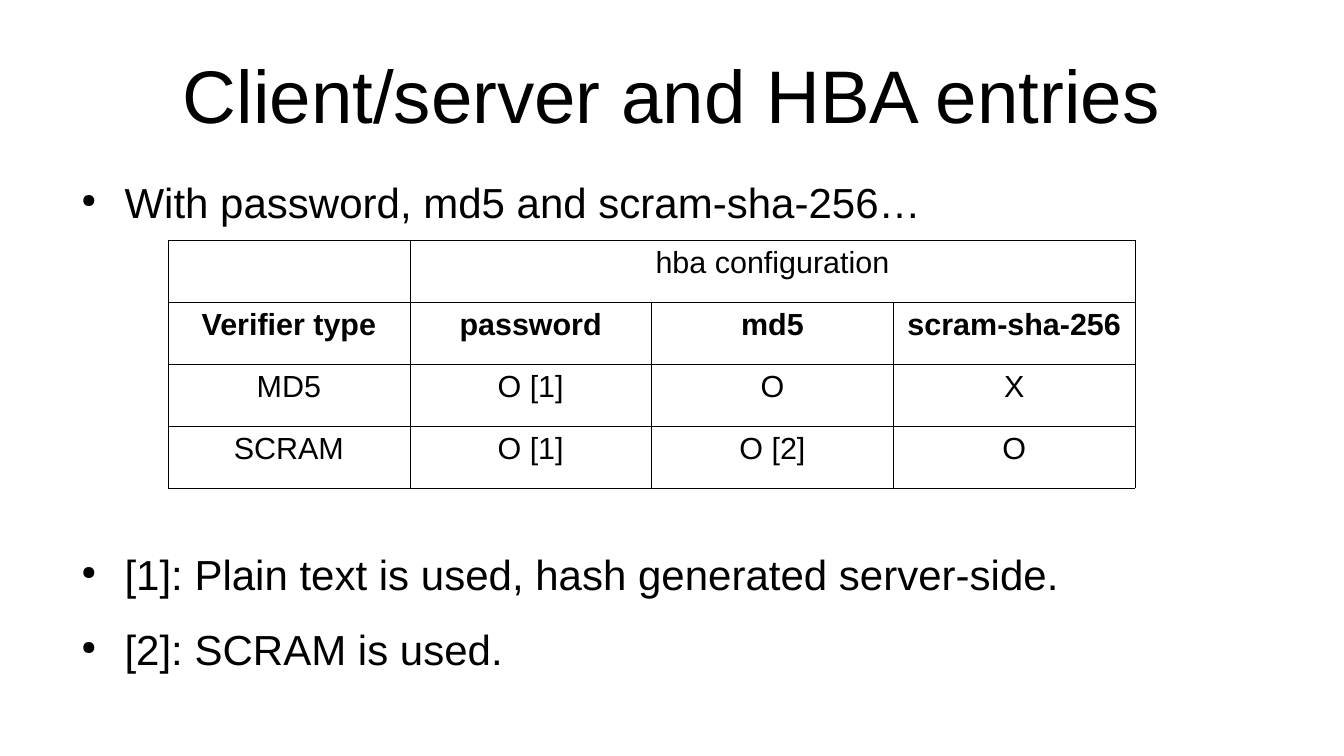
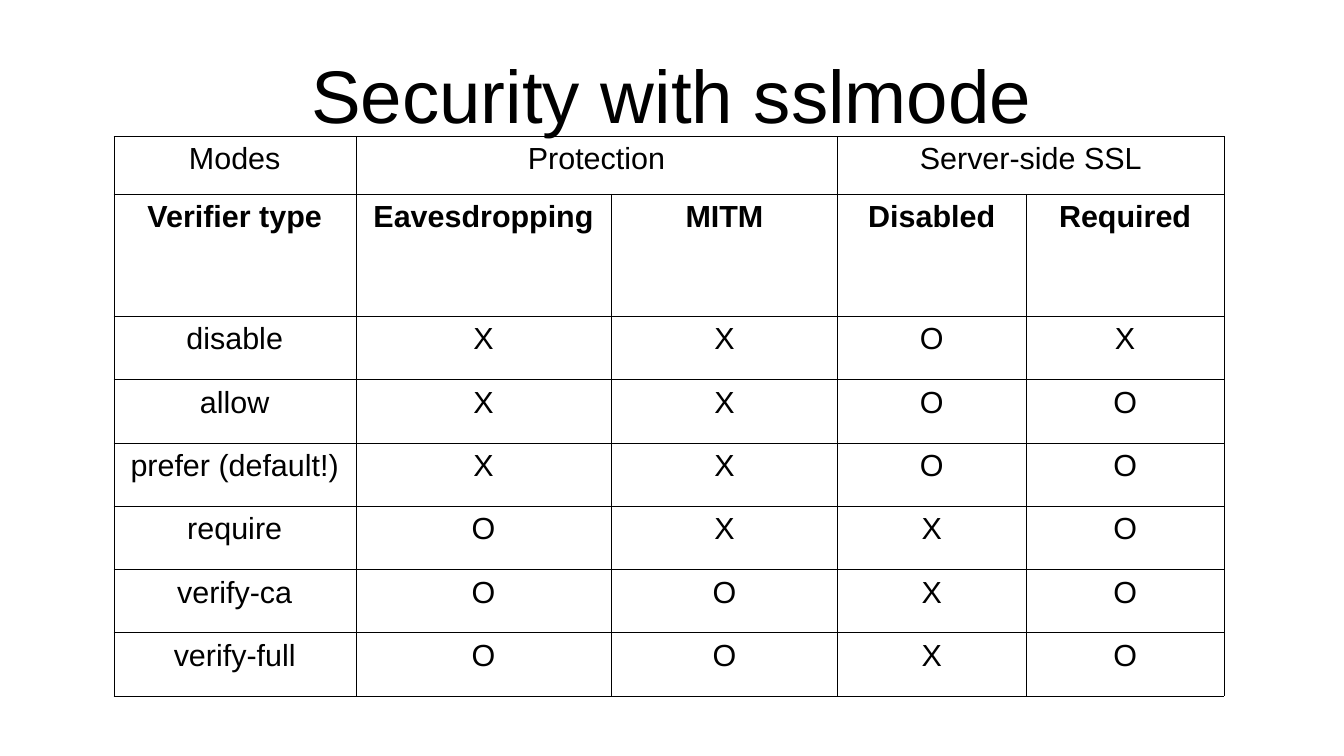
from lxml.etree import SubElement
from pptx import Presentation
from pptx.dml.color import RGBColor as RGB
from pptx.enum.text import MSO_ANCHOR as ANCHOR, PP_ALIGN as ALIGN
from pptx.oxml.ns import qn
from pptx.util import Pt

COLORS = {"ink": "000000", "border": "000000"}
FONT = "Arial"
MARGIN, CONTENT_WIDTH = 39.6, 714.4
TITLE_SIZE, BULLET_SIZE, CELL_SIZE = 44, 24.8, 18
BORDER_WIDTH = 0.06
SPACE_ABOVE, SPACE_BELOW_TABLE = 14.2, 190

HBA_ROWS = [
    ["", "hba configuration", None, None],
    ["Verifier type", "password", "md5", "scram-sha-256"],
    ["MD5", "O [1]", "O", "X"],
    ["SCRAM", "O [1]", "O [2]", "O"],
]
SSL_ROWS = [
    ["Modes", "Protection", None, "Server-side SSL", None],
    ["Verifier type", "Eavesdropping", "MITM", "Disabled", "Required"],
    ["disable", "X", "X", "O", "X"],
    ["allow", "X", "X", "O", "O"],
    ["prefer (default!)", "X", "X", "O", "O"],
    ["require", "O", "X", "X", "O"],
    ["verify-ca", "O", "O", "X", "O"],
    ["verify-full", "O", "O", "X", "O"],
]


def style_font(paragraph, size, bold=False):
    font = paragraph.font
    font.name, font.size, font.bold = FONT, Pt(size), bold
    font.color.rgb = RGB.from_string(COLORS["ink"])


def add_text_frame(slide, top, height):
    box = slide.shapes.add_textbox(Pt(MARGIN), Pt(top), Pt(CONTENT_WIDTH), Pt(height))
    frame = box.text_frame
    frame.word_wrap = True
    frame.margin_left = frame.margin_right = frame.margin_top = frame.margin_bottom = 0
    return frame


def add_titled_slide(deck, title):
    slide = deck.slides.add_slide(deck.slide_layouts[6])
    frame = add_text_frame(slide, 18, 74.8)
    frame.vertical_anchor = ANCHOR.MIDDLE
    heading = frame.paragraphs[0]
    heading.text, heading.alignment = title, ALIGN.CENTER
    style_font(heading, TITLE_SIZE)
    return slide


def set_bullet(paragraph):
    props = paragraph._p.get_or_add_pPr()
    props.set("marL", str(Pt(34)))
    props.set("indent", str(Pt(-25.5)))
    color = SubElement(props, qn("a:buClr"))
    SubElement(color, qn("a:srgbClr"), val=COLORS["ink"])
    SubElement(props, qn("a:buSzPct"), val="45000")
    SubElement(props, qn("a:buChar"), char="●")


def add_bullets(slide, bullets):
    frame = add_text_frame(slide, 104.4, 259.2)
    for index, (text, space_before) in enumerate(bullets):
        bullet = frame.add_paragraph() if index else frame.paragraphs[0]
        bullet.text = text
        bullet.space_before = Pt(space_before)
        style_font(bullet, BULLET_SIZE)
        set_bullet(bullet)


def set_borders(cell):
    props = cell._tc.get_or_add_tcPr()
    for side in ("lnL", "lnR", "lnT", "lnB"):
        line = SubElement(props, qn(f"a:{side}"), w=str(Pt(BORDER_WIDTH)))
        fill = SubElement(line, qn("a:solidFill"))
        SubElement(fill, qn("a:srgbClr"), val=COLORS["border"])


def fill_cell(cell, text, bold):
    set_borders(cell)
    cell.fill.background()
    cell.margin_left = cell.margin_right = Pt(7.2)
    cell.margin_top = cell.margin_bottom = Pt(3.6)
    entry = cell.text_frame.paragraphs[0]
    entry.text, entry.alignment = text or "", ALIGN.CENTER
    style_font(entry, CELL_SIZE, bold)


def merge_spans(table, header):
    starts = [col for col, text in enumerate(header) if text is not None]
    for start, end in zip(starts, starts[1:] + [len(header)]):
        if end - start > 1:
            table.cell(0, start).merge(table.cell(0, end - 1))


def add_grid(slide, left, top, widths, heights, rows):
    table = slide.shapes.add_table(
        len(rows), len(widths), Pt(left), Pt(top), Pt(sum(widths)), Pt(sum(heights))
    ).table
    table.first_row = table.horz_banding = False
    for column, width in zip(table.columns, widths):
        column.width = Pt(width)
    for row, height in zip(table.rows, heights):
        row.height = Pt(height)
    for r, texts in enumerate(rows):
        for c, text in enumerate(texts):
            fill_cell(table.cell(r, c), text, bold=r == 1)
    merge_spans(table, rows[0])


def main():
    deck = Presentation()
    deck.slide_width, deck.slide_height = Pt(793.7), Pt(446.4)

    hba = add_titled_slide(deck, "Client/server and HBA entries")
    add_bullets(hba, [
        ("With password, md5 and scram-sha-256…", SPACE_ABOVE),
        ("[1]: Plain text is used, hash generated server-side.", SPACE_BELOW_TABLE),
        ("[2]: SCRAM is used.", SPACE_ABOVE),
    ])
    add_grid(hba, 99.2, 141.8, [142.8] * 4, [36.6] * 4, HBA_ROWS)

    ssl = add_titled_slide(deck, "Security with sslmode")
    add_grid(ssl, 67.2, 80.4, [142.8, 151.2, 133.4, 111.4, 117],
             [34.2, 72] + [37.4] * 6, SSL_ROWS)

    deck.save("out.pptx")


if __name__ == "__main__":
    main()
